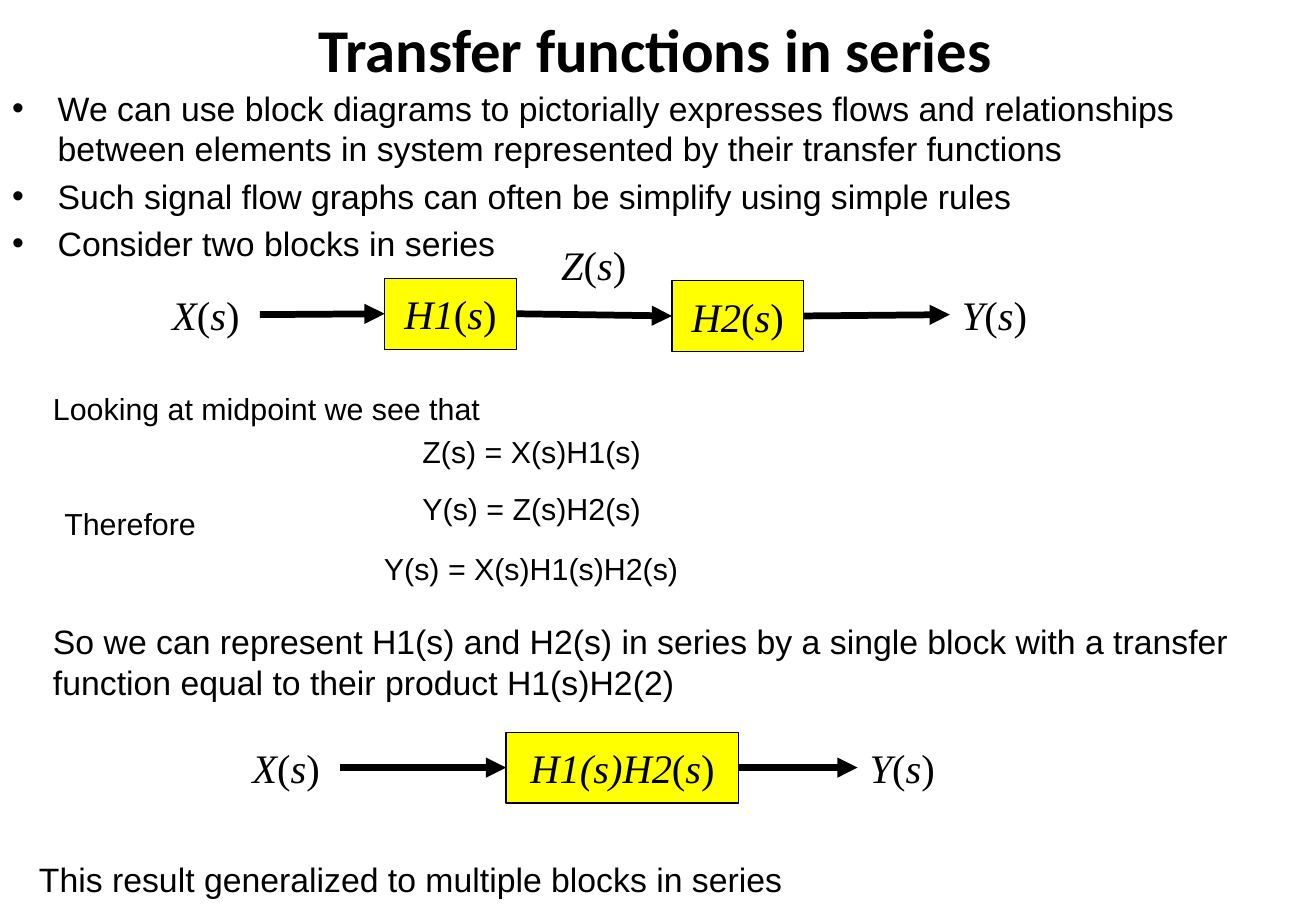
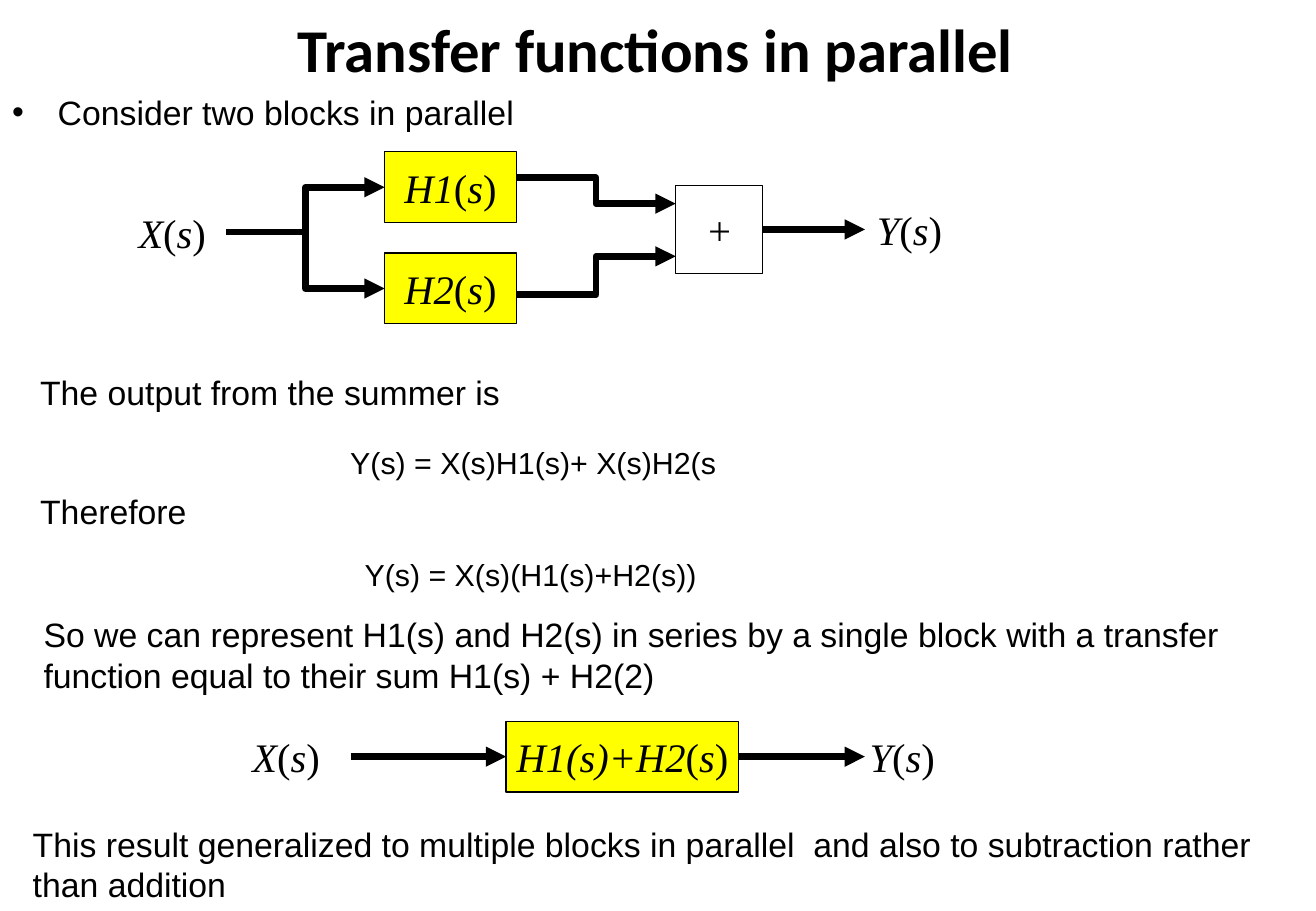
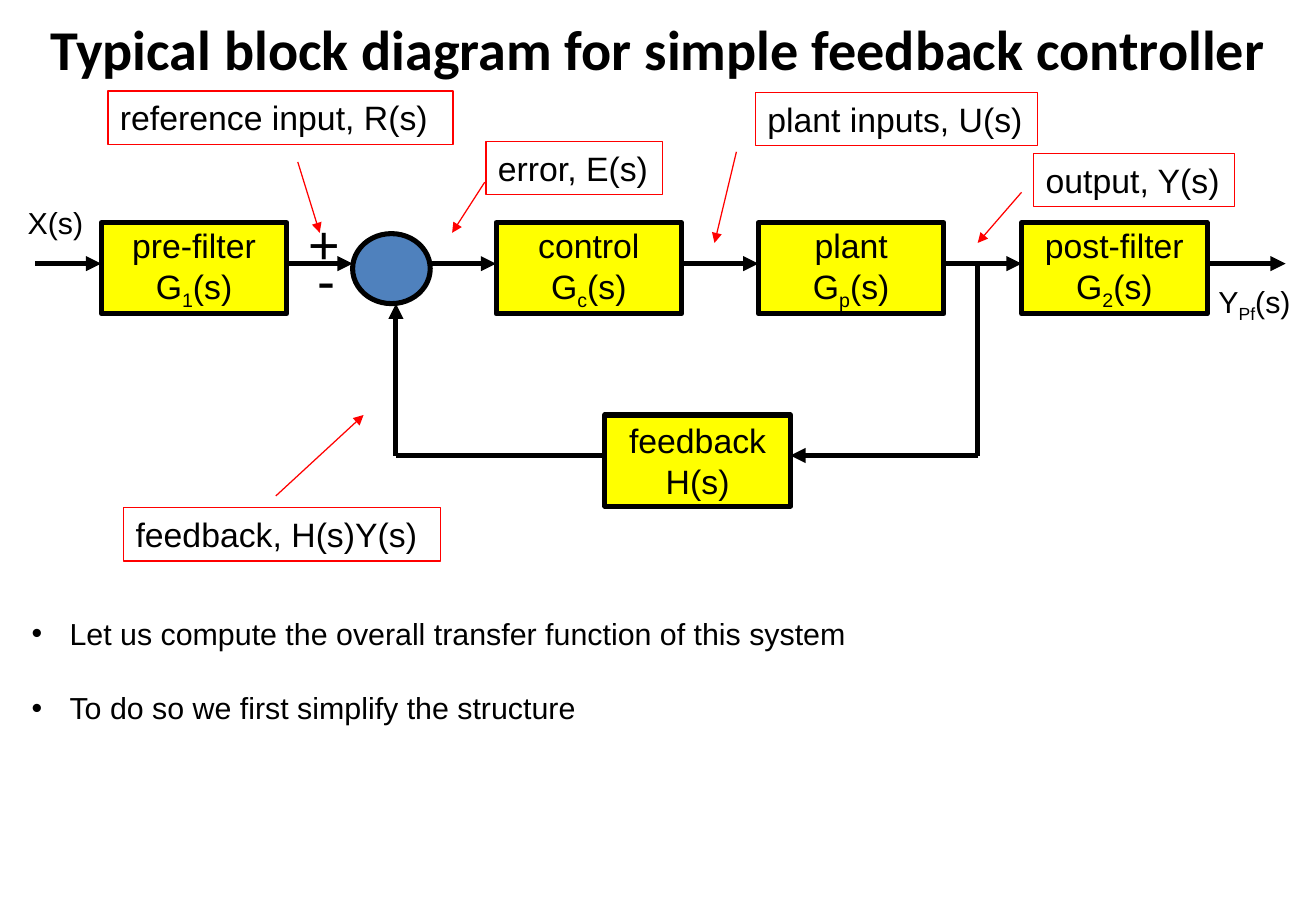
from lxml import etree
from pptx import Presentation
from pptx.dml.color import RGBColor
from pptx.enum.shapes import MSO_CONNECTOR, MSO_SHAPE
from pptx.enum.text import MSO_ANCHOR, MSO_AUTO_SIZE, PP_ALIGN
from pptx.oxml.ns import qn
from pptx.util import Pt

RECT, OVAL = MSO_SHAPE.RECTANGLE, MSO_SHAPE.OVAL
STRAIGHT, ELBOW = MSO_CONNECTOR.STRAIGHT, MSO_CONNECTOR.ELBOW
LEFT, CENTER = PP_ALIGN.LEFT, PP_ALIGN.CENTER
TOP, MIDDLE = MSO_ANCHOR.TOP, MSO_ANCHOR.MIDDLE

COLORS = {"black": "000000", "white": "FFFFFF", "yellow": "FFFF00",
          "red": "FF0000", "blue": "4F81BD"}
SANS, SERIF, HEAD = "Arial", "Times New Roman", "Calibri"
WIDTH, HEIGHT = 780, 540
TITLE_BOX = (37.5, 0, 702, 57)

# Signals: key, name, left, top, width. Blocks: key, name, left, top, width.
# Joins run from the right side of one node to the left side of the next.
SERIES = {
    "title": "Transfer functions in series",
    "body": (0, 48.3, WIDTH, 156),
    "bullets": [
        "We can use block diagrams to pictorially expresses flows and relationships "
        "between elements in system represented by their transfer functions",
        "Such signal flow graphs can often be simplify using simple rules",
        "Consider two blocks in series"],
    "signals": [("x", "X", 95, 168.5, 59), ("y", "Y", 563, 168.5, 56),
                ("z", "Z", 325.5, 139, 62),
                ("in", "X", 142.5, 437, 59), ("out", "Y", 508.3, 437, 56)],
    "blocks": [("h1", "H1", 228, 165, 78), ("h2", "H2", 398.3, 166.3, 78),
               ("all", "H1(s)H2", 300, 434, 138)],
    "joins": [("x", "h1"), ("h1", "h2"), ("h2", "y"), ("in", "all"), ("all", "out")],
    "elbows": [],
    "texts": [
        ("Looking at midpoint we see that", 24.3, 227.5, 290, 18),
        ("Therefore", 31, 296, 110, 18),
        ("So we can represent H1(s) and H2(s) in series by a single block with a "
         "transfer function equal to their product H1(s)H2(2)", 24.3, 364.5, 729.5, 20),
        ("This result generalized to multiple blocks in series", 16, 505.5, 480, 20)],
    "sums": [("Z(s) = X(s)H1(s)", 243.3, 255.5), ("Y(s) = Z(s)H2(s)", 243.3, 289.5),
             ("Y(s) = X(s)H1(s)H2(s)", 220.5, 325)],
}
PARALLEL = {
    "title": "Transfer functions in parallel",
    "body": (0, 50.5, WIDTH, 156),
    "bullets": ["Consider two blocks in parallel"],
    "signals": [("x", "X", 75, 119.5, 59), ("y", "Y", 512.7, 118, 56),
                ("in", "X", 142.5, 430.5, 59), ("out", "Y", 508.3, 430.5, 56)],
    "blocks": [("h1", "H1", 228, 90, 78), ("h2", "H2", 228, 150, 78),
               ("all", "H1(s)+H2", 300, 427.5, 138)],
    "adder": (400.5, 110, 51.5, 52),
    "joins": [("add", "y"), ((208, 448.5), "all"), ("all", (512.7, 448.5))],
    "elbows": [((134, 137.5), (228, 111)), ((134, 137.5), (228, 171)),
               ((306, 174.8), (400.5, 152)), ((306, 105.3), (400.5, 120.7))],
    "texts": [
        ("The output from the summer is", 16.7, 216.7, 474, 20),
        ("Therefore", 16.7, 287.5, 120, 20),
        ("So we can represent H1(s) and H2(s) in series by a single block with a "
         "transfer function equal to their sum H1(s) + H2(2)", 18.7, 360.5, 729.5, 20),
        ("This result generalized to multiple blocks in parallel  and also to "
         "subtraction rather than addition", 12.3, 484.5, 766.7, 20)],
    "sums": [("Y(s) = X(s)H1(s)+ X(s)H2(s", 200.5, 262), ("Y(s) = X(s)(H1(s)+H2(s))", 209, 328.5)],
}

# Text between bars is a subscript.
LOOP_TITLE = "Typical block diagram for simple feedback controller"
LOOP_LIST = ["Let us compute the overall transfer function of this system",
             "To do so we first simplify the structure"]
STAGES = [(("pre-filter", "G|1|(s)"), 60), (("control", "G|c|(s)"), 294),
          (("plant", "G|p|(s)"), 449.5), (("post-filter", "G|2|(s)"), 605.5)]
STAGE_W, STAGE_H, STAGE_Y = 110, 54, 132
BACK = (("feedback", "H(s)"), 358.5, 246)
ADDER = (209, 138.5, 46, 41.5)
FLOW_Y, BACK_Y, FLOW_X0, FLOW_X1 = 156.3, 270, 21, 762
TAP_X, RISE_X = 579.5, 234.7
NOTES = [  # text, left, top, width, arrow from, arrow to
    ("reference input, R(s)", 64, 54, 204.5, (176.5, 96), (189.5, 138)),
    ("error, E(s)", 288, 84, 104.5, (287.3, 108), (268, 138)),
    ("plant inputs, U(s)", 447.7, 55, 167.3, (436.5, 90), (423.5, 144)),
    ("output, Y(s)", 612.7, 91, 118.8, (605.5, 114), (579.5, 144)),
    ("feedback, H(s)Y(s)", 73.3, 301, 188, (163.5, 294), (215.5, 246))]
MARKS = [("Y|Pf|(s)", 715, 164, 62, 18), ("X(s)", 9.3, 117.3, 52, 18),
         ("-", 181.3, 142.6, 36, 32), ("+", 176, 121, 36, 32)]


def rgb(name):
    return RGBColor.from_string(COLORS[name])


def plain(text):
    """Split text at bars into runs: text, italic, subscript."""
    return [(part, False, i % 2 == 1) for i, part in enumerate(text.split("|"))]


def signal(name):
    return [(name, True, False), ("(", False, False), ("s", True, False), (")", False, False)]


def write(frame, lines, size, face=SANS, align=LEFT, anchor=TOP, wrap=True, spacing=None):
    frame.word_wrap, frame.auto_size = wrap, MSO_AUTO_SIZE.NONE
    frame.vertical_anchor = anchor
    for i, runs in enumerate(lines):
        para = frame.add_paragraph() if i else frame.paragraphs[0]
        para.alignment = align
        if spacing:
            para.line_spacing = spacing
        for text, slant, sub in runs:
            run = para.add_run()
            run.text = text
            font = run.font
            font.name, font.size, font.italic = face, Pt(size), slant
            font.color.rgb = rgb("black")
            if sub:
                font._element.set("baseline", "-25000")


def label(slide, runs, x, y, w, size, face=SANS, spacing=None):
    box = slide.shapes.add_textbox(Pt(x), Pt(y), Pt(w), Pt(size * 1.5))
    write(box.text_frame, [runs], size, face, spacing=spacing)
    return box


def shape(slide, kind, box, fill, line="black", weight=0.75):
    item = slide.shapes.add_shape(kind, *map(Pt, box))
    item.shadow.inherit = False
    if fill:
        item.fill.solid()
        item.fill.fore_color.rgb = rgb(fill)
    else:
        item.fill.background()
    item.line.color.rgb, item.line.width = rgb(line), Pt(weight)
    return item


def block(slide, lines, box, size, face, fill="yellow", weight=0.75):
    item = shape(slide, RECT, box, fill, weight=weight)
    write(item.text_frame, lines, size, face, CENTER, MIDDLE, wrap=False)
    return item


def link(slide, start, end, color="black", weight=4, kind=STRAIGHT, arrow=True):
    """Draw a line; each end is a point or a shape to join."""
    a, b = (p if isinstance(p, tuple) else (0, 0) for p in (start, end))
    line = slide.shapes.add_connector(kind, *map(Pt, a + b))
    if not isinstance(start, tuple):
        line.begin_connect(start, 3)
    if not isinstance(end, tuple):
        line.end_connect(end, 1)
    line.line.color.rgb, line.line.width = rgb(color), Pt(weight)
    props = line._element.spPr
    if arrow:
        etree.SubElement(props.find(qn("a:ln")), qn("a:tailEnd"), type="triangle")
    etree.SubElement(props, qn("a:effectLst"))


def place(item, box):
    item.left, item.top, item.width, item.height = map(Pt, box)


def start(deck, title, items, body, size=20, gap=4, indent=27, head=36, box=TITLE_BOX):
    """Add a slide with its title and bullet list."""
    slide = deck.slides.add_slide(deck.slide_layouts[1])
    top, text = slide.shapes.title, slide.placeholders[1]
    place(top, box)
    write(top.text_frame, [plain(title)], head, HEAD, CENTER, MIDDLE)
    top.text_frame.paragraphs[0].runs[0].font.bold = True
    place(text, body)
    write(text.text_frame, [plain(item) for item in items], size)
    for i, para in enumerate(text.text_frame.paragraphs):
        para.space_before = Pt(gap if i else 0)
        props = para._p.get_or_add_pPr()
        props.set("marL", str(Pt(indent)))
        props.set("indent", str(-Pt(indent)))
    return slide


def rule(deck, data):
    """Build a slide on one way of merging two blocks."""
    slide = start(deck, data["title"], data["bullets"], data["body"])
    nodes = {}
    for key, name, x, y, w in data["signals"]:
        nodes[key] = label(slide, signal(name), x, y, w, 24, SERIF)
    for key, name, x, y, w in data["blocks"]:
        nodes[key] = block(slide, [signal(name)], (x, y, w, 42), 24, SERIF)
    if "adder" in data:
        nodes["add"] = block(slide, [[("+", True, False)]], data["adder"], 24, SERIF, "white")
    for a, b in data["joins"]:
        link(slide, nodes.get(a, a), nodes.get(b, b))
    for a, b in data["elbows"]:
        link(slide, a, b, kind=ELBOW)
    for text, x, y, w, size in data["texts"]:
        label(slide, plain(text), x, y, w, size)
    for text, x, y in data["sums"]:
        label(slide, plain(text), x, y, 300, 18, spacing=0.9)


def loop(deck):
    """Build the feedback controller slide."""
    slide = start(deck, LOOP_TITLE, LOOP_LIST, (11.5, 361, 502, 94), 18, 22.5, 22.5,
                  33.3, (0, 0, WIDTH, 57))
    shape(slide, OVAL, ADDER, "blue", weight=3)
    name, back_x, back_y = BACK
    for lines, x, y in [(s, x, STAGE_Y) for s, x in STAGES] + [BACK]:
        block(slide, [plain(t) for t in lines], (x, y, STAGE_W, STAGE_H), 20, SANS, weight=3)

    spans = sorted([(x, x + STAGE_W) for _, x in STAGES] + [(ADDER[0], ADDER[0] + ADDER[2])])
    starts = [FLOW_X0] + [right for _, right in spans]
    ends = [left for left, _ in spans] + [FLOW_X1]
    for a, b in zip(starts, ends):
        link(slide, (a, FLOW_Y), (b, FLOW_Y), weight=3)
    for a, b, arrow in [
            ((TAP_X, FLOW_Y), (TAP_X, BACK_Y), False),
            ((TAP_X, BACK_Y), (back_x + STAGE_W, BACK_Y), True),
            ((back_x, BACK_Y), (RISE_X, BACK_Y), False),
            ((RISE_X, BACK_Y), (RISE_X, ADDER[1] + ADDER[3]), True)]:
        link(slide, a, b, weight=3, arrow=arrow)

    for text, x, y, w, a, b in NOTES:
        note = shape(slide, RECT, (x, y, w, 31.5), None, "red")
        write(note.text_frame, [plain(text)], 20)
        link(slide, a, b, "red", 0.75)
    for text, x, y, w, size in MARKS:
        label(slide, plain(text), x, y, w, size)


def main():
    deck = Presentation()
    deck.slide_width, deck.slide_height = Pt(WIDTH), Pt(HEIGHT)
    rule(deck, SERIES)
    rule(deck, PARALLEL)
    loop(deck)
    deck.save("out.pptx")


if __name__ == "__main__":
    main()
